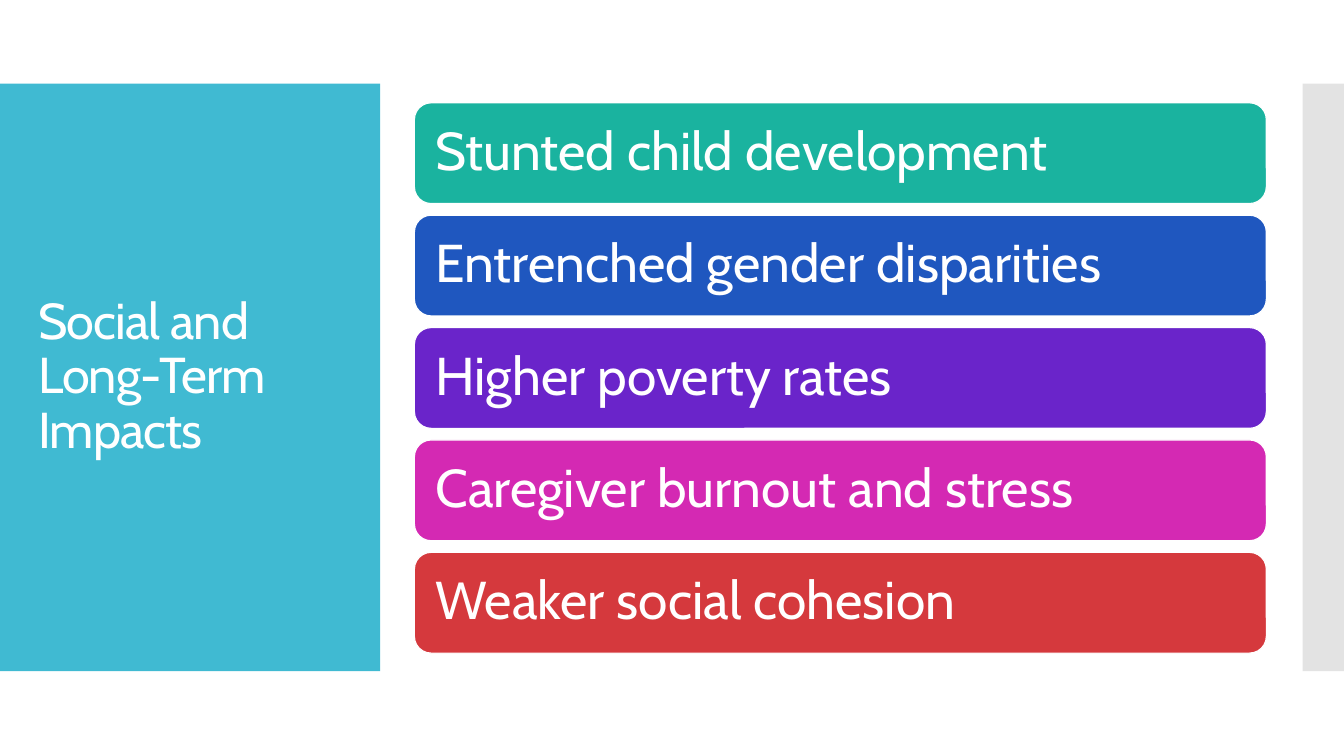
from lxml.etree import SubElement
from pptx import Presentation
from pptx.dml.color import RGBColor
from pptx.enum.shapes import MSO_SHAPE
from pptx.enum.text import MSO_ANCHOR, PP_ALIGN
from pptx.oxml.ns import qn
from pptx.util import Inches, Pt

TITLE = "Social and Long-Term Impacts"
IMPACTS = [
    ("Stunted child development", "teal"),
    ("Entrenched gender disparities", "blue"),
    ("Higher poverty rates", "purple"),
    ("Caregiver burnout and stress", "magenta"),
    ("Weaker social cohesion", "red"),
]
COLORS = {
    "panel": "40BAD2", "edge": "C8C8C8", "white": "FFFFFF",
    "teal": "1AB39F", "blue": "1F57BF", "purple": "6A24CA",
    "magenta": "D429B3", "red": "D5393D",
}
FONT = "Cabin"
BAND_TOP, BAND_HEIGHT = 0.83, 5.83
BAR_LEFT, BAR_TOP, BAR_WIDTH, BAR_HEIGHT = 4.11, 1.02, 8.45, 1
BAR_STEP = 1.115


def color(name):
    return RGBColor.from_string(COLORS[name])


def add_block(page, kind, left, top, width, height, fill):
    box = page.shapes.add_shape(
        kind, Inches(left), Inches(top), Inches(width), Inches(height))
    box.shadow.inherit = False
    box.fill.solid()
    box.fill.fore_color.rgb = color(fill)
    box.line.fill.background()
    return box


def set_text(box, text, size, side_inset):
    frame = box.text_frame
    frame.word_wrap = True
    frame.vertical_anchor = MSO_ANCHOR.MIDDLE
    frame.margin_left = frame.margin_right = Inches(side_inset)
    frame.text = text
    para = frame.paragraphs[0]
    para.alignment = PP_ALIGN.LEFT
    para.line_spacing = 0.9
    span = para.runs[0]
    span.font.name = FONT
    span.font.size = Pt(size)
    span.font.color.rgb = color("white")
    return span


deck = Presentation()
deck.slide_width, deck.slide_height = Inches(13.33), Inches(7.5)
page = deck.slides.add_slide(deck.slide_layouts[6])

# Side panel and translucent right edge
add_block(page, MSO_SHAPE.RECTANGLE, 0, BAND_TOP, 3.77, BAND_HEIGHT, "panel")
edge = add_block(page, MSO_SHAPE.RECTANGLE, 12.92, BAND_TOP, 0.41, BAND_HEIGHT, "edge")
edge_color = edge.fill._xPr.find(qn("a:solidFill")).find(qn("a:srgbClr"))
SubElement(edge_color, qn("a:alpha"), val="50000")

# Title
title = page.shapes.add_textbox(Inches(0.28), Inches(1.23), Inches(3.22), Inches(5.03))
title_span = set_text(title, TITLE, 36, 0.1)
title_span.font._element.set("spc", "-60")

# Impact bars
for index, (impact, fill) in enumerate(IMPACTS):
    bar = add_block(page, MSO_SHAPE.ROUNDED_RECTANGLE, BAR_LEFT,
                    BAR_TOP + index * BAR_STEP, BAR_WIDTH, BAR_HEIGHT, fill)
    bar.line.color.rgb = color("white")
    bar.line.width = Pt(0.85)
    set_text(bar, impact, 38, 0.16)

deck.save("out.pptx")
